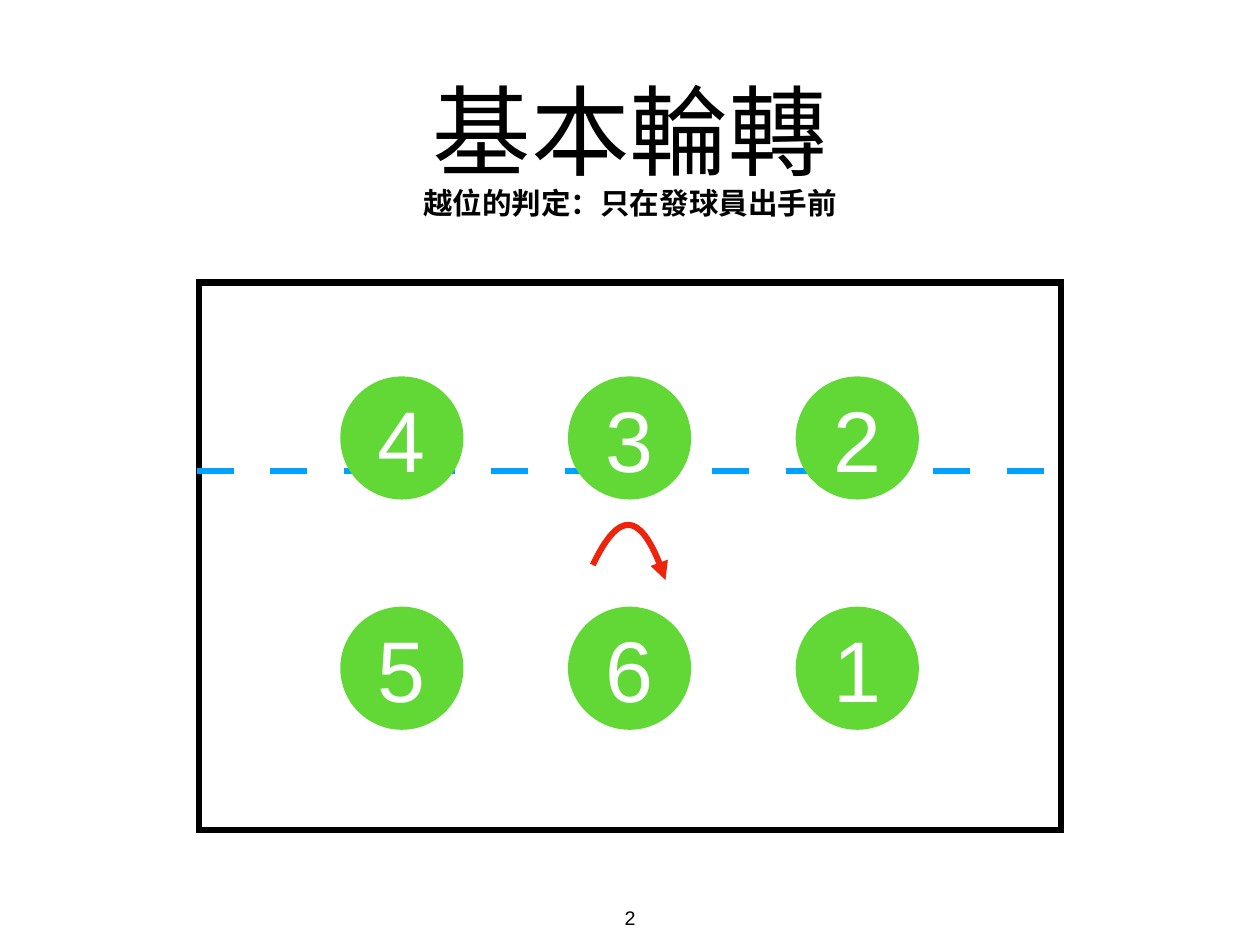
from dataclasses import dataclass

from lxml.etree import SubElement
from pptx import Presentation
from pptx.dml.color import RGBColor
from pptx.enum.shapes import MSO_CONNECTOR as Connector, MSO_SHAPE as Preset
from pptx.enum.text import MSO_ANCHOR as Anchor, MSO_AUTO_SIZE as AutoSize, PP_ALIGN as Align
from pptx.oxml.ns import qn
from pptx.util import Pt

PX = 9144  # EMU in one px: 100 px to the inch


@dataclass(frozen=True)
class Theme:
    ink: str = "000000"
    white: str = "FFFFFF"
    player: str = "61D836"
    attack_line: str = "00A2FF"
    rotation: str = "EE230C"
    latin: str = "Arial"
    chinese: str = "Noto Sans CJK SC"
    title_size: int = 80
    player_size: int = 70
    note_size: int = 24
    number_size: int = 16
    stroke: int = 5


@dataclass(frozen=True)
class Box:
    left: int
    top: int
    width: int
    height: int

    def emu(self) -> tuple:
        return tuple(length * PX for length in (self.left, self.top, self.width, self.height))


@dataclass(frozen=True)
class Label:
    text: str
    size: int
    color: str = "000000"
    font: str = "Arial"
    bold: bool = False
    anchor: Anchor = Anchor.MIDDLE
    wrap: bool = True


THEME = Theme()
PLAYER_ROWS = ("432", "561")
PLAYER_LEFT, PLAYER_TOP, PLAYER_SIDE = 384, 425, 139
COLUMN_STEP, ROW_STEP = 257, 260


def write_label(shape, label: Label) -> None:
    frame = shape.text_frame
    frame.text = label.text
    settings = {
        "margin_left": 6 * PX, "margin_right": 6 * PX,
        "margin_top": 6 * PX, "margin_bottom": 6 * PX,
        "vertical_anchor": label.anchor, "word_wrap": label.wrap,
        "auto_size": AutoSize.NONE if label.wrap else AutoSize.SHAPE_TO_FIT_TEXT,
    }
    for name, value in settings.items():
        setattr(frame, name, value)
    para = frame.paragraphs[0]
    para.alignment = Align.CENTER
    span = para.runs[0]
    for name, value in {"name": label.font, "size": Pt(label.size), "bold": label.bold}.items():
        setattr(span.font, name, value)
    span.font.color.rgb = RGBColor.from_string(label.color)
    if label.font == THEME.chinese:
        SubElement(span.font._element, qn("a:ea"), typeface=label.font)


def set_stroke(shape, color: str):
    shape.line.width = Pt(THEME.stroke)
    shape.line.color.rgb = RGBColor.from_string(color)
    return shape.line._get_or_add_ln()


def add_text(page, box: Box, label: Label) -> None:
    write_label(page.shapes.add_textbox(*box.emu()), label)


def add_court(page, box: Box) -> None:
    court = page.shapes.add_shape(Preset.RECTANGLE, *box.emu())
    court.shadow.inherit = False
    court.fill.background()
    stroke = set_stroke(court, THEME.ink)
    SubElement(stroke, qn("a:miter"), lim="400000")


def add_attack_line(page, left: int, right: int, level: int) -> None:
    line = page.shapes.add_connector(
        Connector.STRAIGHT, left * PX, level * PX, right * PX, level * PX)
    stroke = set_stroke(line, THEME.attack_line)
    dashes = SubElement(stroke, qn("a:custDash"))
    SubElement(dashes, qn("a:ds"), d="600000", sp="600000")
    SubElement(line._element.spPr, qn("a:effectLst"))


def add_player(page, box: Box, number: str) -> None:
    player = page.shapes.add_shape(Preset.OVAL, *box.emu())
    player.shadow.inherit = False
    player.fill.solid()
    player.fill.fore_color.rgb = RGBColor.from_string(THEME.player)
    player.line.fill.background()
    write_label(player, Label(number, THEME.player_size, THEME.white))


def add_rotation_arrow(page, start: tuple, controls: tuple, end: tuple, crest: tuple) -> None:
    builder = page.shapes.build_freeform(*start, scale=PX)
    builder.add_line_segments([crest, end], close=False)
    arrow = builder.convert_to_shape()
    arrow.shadow.inherit = False
    arrow.fill.background()
    stroke = set_stroke(arrow, THEME.rotation)
    SubElement(stroke, qn("a:tailEnd"), type="triangle")

    # Bend the outline into one Bézier curve
    outline = next(arrow._element.iter(qn("a:lnTo"))).getparent()
    for segment in outline.findall(qn("a:lnTo")):
        outline.remove(segment)
    curve = SubElement(outline, qn("a:cubicBezTo"))
    for x, y in (*controls, end):
        SubElement(curve, qn("a:pt"), x=str(x - start[0]), y=str(y - crest[1]))


def main() -> None:
    deck = Presentation()
    deck.slide_width, deck.slide_height = 1422 * PX, 1067 * PX
    page = deck.slides.add_slide(deck.slide_layouts[5])

    # Title and page number
    title = page.shapes.title
    title_box = Box(104, 28, 1214, 236)
    for name, value in zip(("left", "top", "width", "height"), title_box.emu()):
        setattr(title, name, value)
    write_label(title, Label("基本輪轉", THEME.title_size))
    add_text(page, Box(699, 1017, 23, 38),
             Label("2", THEME.number_size, anchor=Anchor.TOP, wrap=False))

    # Court
    add_court(page, Box(225, 319, 972, 618))
    add_attack_line(page, 222, 1200, 532)

    # Players
    for row, numbers in enumerate(PLAYER_ROWS):
        for column, number in enumerate(numbers):
            spot = Box(PLAYER_LEFT + column * COLUMN_STEP, PLAYER_TOP + row * ROW_STEP,
                       PLAYER_SIDE, PLAYER_SIDE)
            add_player(page, spot, number)

    # Direction of rotation and the rule
    add_rotation_arrow(page, (669, 638), ((699, 575), (727, 581)), (751, 655), (709, 595))
    add_text(page, Box(470, 203, 482, 52),
             Label("越位的判定：只在發球員出手前", THEME.note_size,
                   font=THEME.chinese, bold=True, wrap=False))

    deck.save("out.pptx")


if __name__ == "__main__":
    main()
